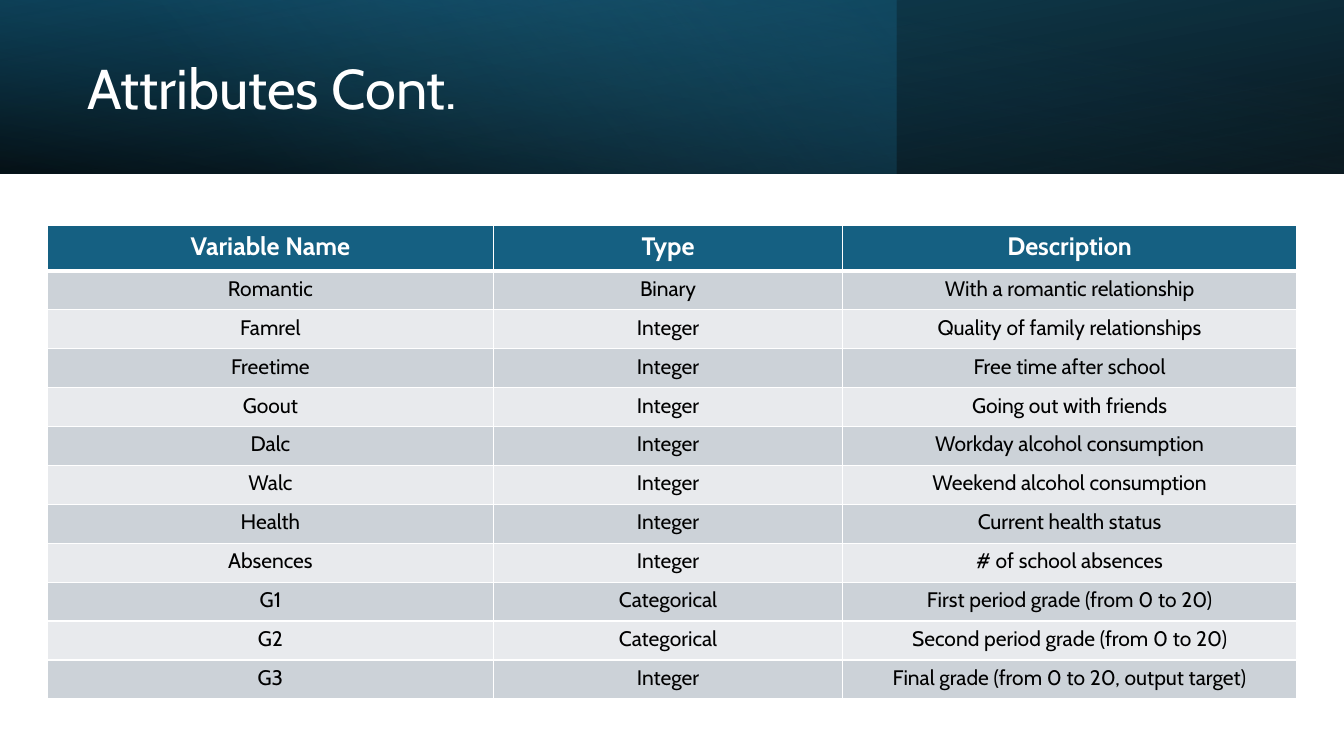
from lxml import etree
from pptx import Presentation
from pptx.dml.color import RGBColor
from pptx.enum.shapes import MSO_SHAPE
from pptx.enum.text import MSO_ANCHOR, PP_ALIGN
from pptx.oxml.ns import qn
from pptx.util import Cm, Pt

RECT = MSO_SHAPE.RECTANGLE
MIDDLE = MSO_ANCHOR.MIDDLE
LEFT, CENTER = PP_ALIGN.LEFT, PP_ALIGN.CENTER

FONT = "Cabin"
WHITE, BLACK, TEAL = "FFFFFF", "000000", "156082"
BANDS = ("CCD2D8", "E8EAED")
TITLE = "Attributes Cont."
HEADER = ("Variable Name", "Type", "Description")
ATTRIBUTES = [
    ("Romantic", "Binary", "With a romantic relationship"),
    ("Famrel", "Integer", "Quality of family relationships"),
    ("Freetime", "Integer", "Free time after school"),
    ("Goout", "Integer", "Going out with friends"),
    ("Dalc", "Integer", "Workday alcohol consumption"),
    ("Walc", "Integer", "Weekend alcohol consumption"),
    ("Health", "Integer", "Current health status"),
    ("Absences", "Integer", "# of school absences"),
    ("G1", "Categorical", "First period grade (from 0 to 20)"),
    ("G2", "Categorical", "Second period grade (from 0 to 20)"),
    ("G3", "Integer", "Final grade (from 0 to 20, output target)"),
]
SLIDE_W, SLIDE_H, BANNER_H = 33.87, 19.05, 4.37
# width, rotation, flipped, clockwise angle, stops as (position, colour, opacity)
BANNER_LAYERS = [
    (SLIDE_W, 180, True, 100, [(0, BLACK, 96), (100, "104862", 100)]),
    (22.58, 0, False, 140, [(0, TEAL, 41), (74, "46B1E1", 0)]),
    (SLIDE_W, 0, True, 260, [(0, BLACK, 63), (78, TEAL, 15)]),
]
COL_WIDTHS = (11.23, 8.81, 11.43)
HEADER_H, ROW_H = 1.14, 0.98


def color(hex_string):
    return RGBColor.from_string(hex_string)


def add_run(p, text, size, hex_string, bold=False):
    r = p.add_run()
    r.text = text
    r.font.name, r.font.size, r.font.bold = FONT, Pt(size), bold
    r.font.color.rgb = color(hex_string)


def add_banner_layer(slide, width, rotation, flipped, angle, stops):
    sp = slide.shapes.add_shape(RECT, 0, 0, Cm(width), Cm(BANNER_H))
    sp.shadow.inherit = False
    sp.line.fill.background()
    sp.rotation = rotation
    if flipped:
        sp._element.spPr.find(qn("a:xfrm")).set("flipH", "1")
    sp.fill.gradient()
    sp.fill.gradient_angle = 360 - angle
    for stop, (position, hex_string, _) in zip(sp.fill.gradient_stops, stops):
        stop.position = position / 100
        stop.color.rgb = color(hex_string)
    clrs = sp._element.spPr.iter(qn("a:srgbClr"))
    for clr, (_, _, opacity) in zip(clrs, stops):
        etree.SubElement(clr, qn("a:alpha"), val=str(opacity * 1000))


def set_borders(cell, widths):
    tcPr = cell._tc.get_or_add_tcPr()
    for i, (side, width) in enumerate(widths.items()):
        ln = etree.Element(qn(f"a:ln{side}"), w=str(Pt(width)))
        fill = etree.SubElement(ln, qn("a:solidFill"))
        etree.SubElement(fill, qn("a:srgbClr"), val=WHITE)
        tcPr.insert(i, ln)


def add_attribute_table(slide):
    rows = [HEADER] + ATTRIBUTES
    heights = [HEADER_H] + [ROW_H] * len(ATTRIBUTES)
    table = slide.shapes.add_table(
        len(rows), len(HEADER), Cm(1.2), Cm(5.69),
        Cm(sum(COL_WIDTHS)), Cm(sum(heights))).table
    for col, width in zip(table.columns, COL_WIDTHS):
        col.width = Cm(width)
    for i, (values, height) in enumerate(zip(rows, heights)):
        table.rows[i].height = Cm(height)
        is_header = i == 0
        for j, value in enumerate(values):
            cell = table.cell(i, j)
            cell.fill.solid()
            cell.fill.fore_color.rgb = color(TEAL if is_header else BANDS[(i - 1) % 2])
            set_borders(cell, {"L": 1, "R": 1, "T": 3 if i == 1 else 1,
                               "B": 3 if is_header else 1})
            p = cell.text_frame.paragraphs[0]
            p.alignment = CENTER
            if is_header:
                add_run(p, value, 18, WHITE, True)
            else:
                add_run(p, value, 15, BLACK)


def add_title(slide):
    title = slide.shapes.title
    title.left, title.top, title.width, title.height = Cm(1.96), Cm(0.69), Cm(19.6), Cm(3.23)
    tf = title.text_frame
    tf.word_wrap = True
    tf.vertical_anchor = MIDDLE
    p = tf.paragraphs[0]
    p.alignment = LEFT
    p.line_spacing = 0.9
    add_run(p, TITLE, 40, WHITE)
    slide.shapes._spTree.append(title._element)


def main():
    prs = Presentation()
    prs.slide_width, prs.slide_height = Cm(SLIDE_W), Cm(SLIDE_H)
    slide = prs.slides.add_slide(prs.slide_layouts[5])
    for layer in BANNER_LAYERS:
        add_banner_layer(slide, *layer)
    add_title(slide)
    add_attribute_table(slide)
    prs.save("out.pptx")


if __name__ == "__main__":
    main()
